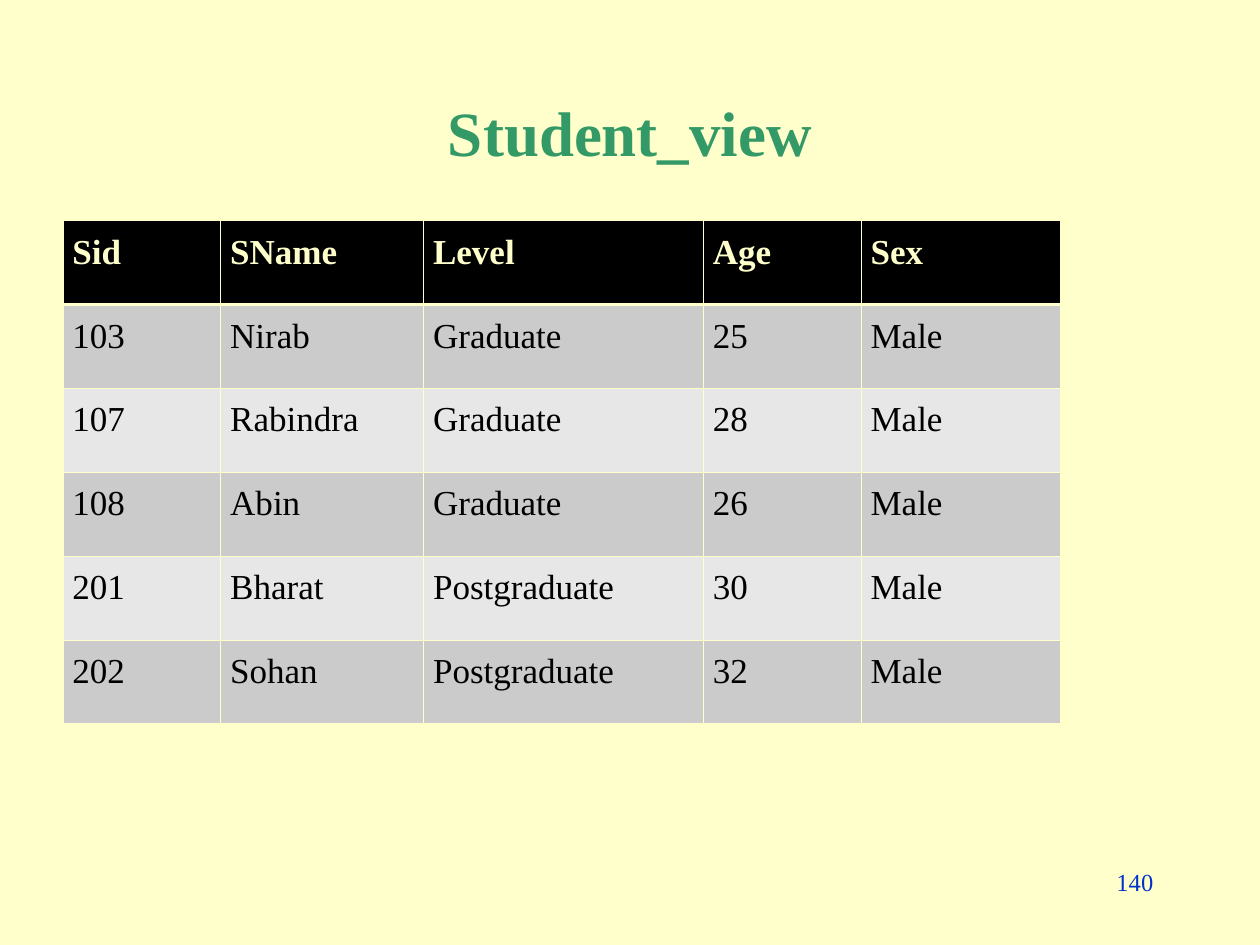
import pptx
import pptx.dml.color
import pptx.enum.text
import pptx.oxml
import pptx.oxml.ns
import pptx.util

Cm = pptx.util.Cm
Pt = pptx.util.Pt
ALIGN = pptx.enum.text.PP_ALIGN
ANCHOR = pptx.enum.text.MSO_ANCHOR

COLORS = {
    "paper": "FFFFCC",
    "title": "339966",
    "head": "000000",
    "text": "000000",
    "odd": "CBCBCB",
    "even": "E7E7E7",
    "number": "0033CC",
}
FONT = "Times New Roman"
THIN, THICK = 0.45, 1.47

HEADS = ["Sid", "SName", "Level", "Age", "Sex"]
STUDENTS = [
    ["103", "Nirab", "Graduate", "25", "Male"],
    ["107", "Rabindra", "Graduate", "28", "Male"],
    ["108", "Abin", "Graduate", "26", "Male"],
    ["201", "Bharat", "Postgraduate", "30", "Male"],
    ["202", "Sohan", "Postgraduate", "32", "Male"],
]
WIDTHS = [3.18, 4.09, 5.64, 3.18, 4.02]
ROW = 1.69


def rgb(name):
    return pptx.dml.color.RGBColor.from_string(COLORS[name])


class Page:
    def __init__(self, deck):
        self.slide = deck.slides.add_slide(deck.slide_layouts[5])
        fill = self.slide.background.fill
        fill.solid()
        fill.fore_color.rgb = rgb("paper")

    def text(self, frame, words, size, color, bold=False, align=ALIGN.LEFT):
        para = frame.paragraphs[0]
        para.alignment = align
        run = para.add_run()
        run.text = words
        run.font.name = FONT
        run.font.size = Pt(size)
        run.font.bold = bold
        run.font.color.rgb = rgb(color)
        return para

    def title(self, words, left, top, width, height):
        shape = self.slide.shapes.title
        shape.left, shape.top = Cm(left), Cm(top)
        shape.width, shape.height = Cm(width), Cm(height)
        shape.text_frame.vertical_anchor = ANCHOR.MIDDLE
        self.text(shape.text_frame, words, 36, "title", True, ALIGN.CENTER)

    def label(self, words, left, top, width, height):
        box = self.slide.shapes.add_textbox(Cm(left), Cm(top), Cm(width), Cm(height))
        box.text_frame.word_wrap = True
        self.text(box.text_frame, words, 14, "number", align=ALIGN.RIGHT)

    def edge(self, cell, side, width):
        """Draw one border (L, R, T or B) of a cell."""
        line = pptx.oxml.parse_xml(
            f'<a:ln{side} {pptx.oxml.ns.nsdecls("a")} w="{int(Pt(width))}">'
            f'<a:solidFill><a:srgbClr val="{COLORS["paper"]}"/></a:solidFill>'
            f'</a:ln{side}>'
        )
        cell._tc.get_or_add_tcPr().append(line)

    def cell(self, cell, words, row):
        head = row == 0
        widths = {
            "L": THIN,
            "R": THIN,
            "T": THICK if row == 1 else THIN,
            "B": THICK if head else THIN,
        }
        for side, width in widths.items():
            self.edge(cell, side, width)
        cell.fill.solid()
        cell.fill.fore_color.rgb = rgb("head" if head else "odd" if row % 2 else "even")
        cell.margin_left = cell.margin_right = Cm(0.19)
        cell.margin_top = cell.margin_bottom = Cm(0.13)
        color = "paper" if head else "text"
        para = self.text(cell.text_frame, words, 20, color, bold=head)
        para.line_spacing = 1.15

    def table(self, rows, left, top):
        grid = self.slide.shapes.add_table(
            len(rows), len(WIDTHS), Cm(left), Cm(top),
            Cm(sum(WIDTHS)), Cm(ROW * len(rows)),
        ).table
        for col, width in zip(grid.columns, WIDTHS):
            col.width = Cm(width)
        for i, row in enumerate(rows):
            grid.rows[i].height = Cm(ROW)
            for j, words in enumerate(row):
                self.cell(grid.cell(i, j), words, i)


def main():
    deck = pptx.Presentation()
    deck.slide_width, deck.slide_height = Cm(25.4), Cm(19.05)
    page = Page(deck)
    page.title("Student_view", 1.9, 1.7, 21.6, 1.9)
    page.table([HEADS] + STUDENTS, 1.27, 4.45)
    page.label("140", 18.2, 17.35, 5.3, 1.27)
    deck.save("out.pptx")


if __name__ == "__main__":
    main()
